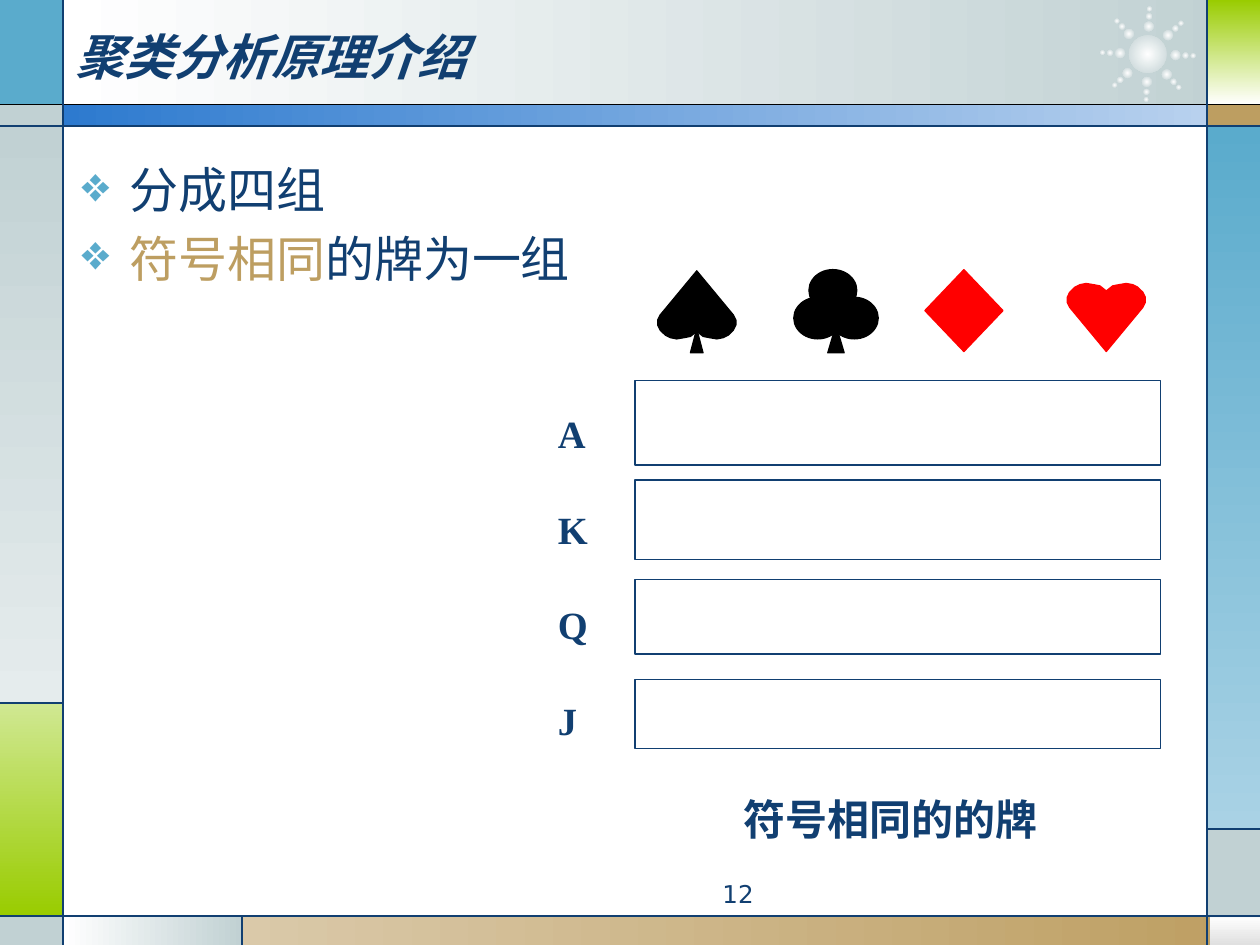
import math
import pptx
import pptx.util
import pptx.oxml
import pptx.oxml.ns
import pptx.dml.color
import pptx.enum.shapes
import pptx.enum.text
from lxml import etree

Inches, Pt = pptx.util.Inches, pptx.util.Pt
RGBColor = pptx.dml.color.RGBColor
KIND = pptx.enum.shapes.MSO_SHAPE
ALIGN = pptx.enum.text.PP_ALIGN
ANCHOR = pptx.enum.text.MSO_ANCHOR

NAVY = RGBColor(0x11, 0x3F, 0x71)
BLACK = RGBColor(0, 0, 0)
WHITE = RGBColor(255, 255, 255)
RED = RGBColor(255, 0, 0)
SKY = RGBColor(0x5A, 0xAB, 0xCC)
PALE_SKY = RGBColor(0xA9, 0xD2, 0xE5)
GRAY = RGBColor(0xC1, 0xD1, 0xD3)
PALE_GRAY = RGBColor(0xE5, 0xEC, 0xED)
LIME = RGBColor(0x99, 0xCC, 0x00)
PALE_LIME = RGBColor(0xD0, 0xE8, 0x92)
TAN = RGBColor(0xBD, 0x9E, 0x61)
PALE_TAN = RGBColor(0xDA, 0xC9, 0xA9)
BLUE = RGBColor(0x2D, 0x7A, 0xCF)
PALE_BLUE = RGBColor(0xB8, 0xD1, 0xEE)
SILVER = RGBColor(0xE0, 0xE0, 0xE0)
A_NS = pptx.oxml.ns.nsdecls("a")

deck = pptx.Presentation()
deck.slide_width, deck.slide_height = Inches(10), Inches(7.5)
slide = deck.slides.add_slide(deck.slide_layouts[6])
shapes = slide.shapes


def paint(shape, first, last=None, angle=0, line=None):
    """Fill with one colour, or a gradient when last is given."""
    shape.shadow.inherit = False
    if last is None:
        shape.fill.solid()
        shape.fill.fore_color.rgb = first
    else:
        shape.fill.gradient()
        shape.fill.gradient_angle = angle
        for stop, color in zip(shape.fill.gradient_stops, (first, last)):
            stop.color.rgb = color
    if line is None:
        shape.line.fill.background()
    else:
        shape.line.color.rgb = line
        shape.line.width = Pt(0.75)


def write(box, text, size, font, bold=False, align=None):
    """Add a text box and return its frame."""
    frame = shapes.add_textbox(*map(Inches, box)).text_frame
    frame.word_wrap = True
    para = frame.paragraphs[0]
    para.text = text
    para.alignment = align
    para.font.size, para.font.name = Pt(size), font
    para.font.bold = bold
    para.font.color.rgb = NAVY
    return frame


# Frame panels; 270 degrees runs from top to bottom
DOWN = 270
panels = [
    ((0.5, 0, 9.27, 0.84), WHITE, GRAY, 0),
    ((0, 0, 0.5, 0.84), SKY, None, 0),
    ((0, 0.83, 0.5, 0.17), GRAY, None, 0),
    ((0, 1, 0.5, 4.58), GRAY, PALE_GRAY, DOWN),
    ((0, 5.58, 0.5, 1.69), PALE_LIME, LIME, DOWN),
    ((0, 7.27, 0.5, 0.23), GRAY, None, 0),
    ((0.5, 7.27, 1.42, 0.23), WHITE, GRAY, 0),
    ((1.92, 7.27, 8.08, 0.23), PALE_TAN, TAN, 0),
    ((9.6, 7.27, 0.4, 0.23), WHITE, SILVER, DOWN),
    ((9.58, 6.58, 0.42, 0.7), GRAY, None, 0),
    ((9.58, 1, 0.42, 5.58), SKY, PALE_SKY, DOWN),
    ((9.58, 0.83, 0.42, 0.17), TAN, None, 0),
    ((9.58, 0, 0.42, 0.83), LIME, WHITE, DOWN),
    ((0.5, 0.83, 9.08, 0.17), BLUE, PALE_BLUE, 0),
]
for box, first, last, angle in panels:
    panel = shapes.add_shape(KIND.RECTANGLE, *map(Inches, box))
    paint(panel, first, last, angle)

# Star: a core and eight arms of three shrinking dots
dots = [(9.11, 0.43, 0.3)]
for arm in range(8):
    turn = math.radians(45 * arm + 2)
    for reach, size in ((0.22, 0.08), (0.3, 0.05), (0.36, 0.04)):
        dots.append((9.11 + reach * math.cos(turn), 0.43 + reach * math.sin(turn), size))
for x, y, size in dots:
    dot = shapes.add_shape(KIND.OVAL, Inches(x - size / 2), Inches(y - size / 2),
                           Inches(size), Inches(size))
    paint(dot, WHITE, GRAY)
    linear = dot._element.spPr.find(".//" + pptx.oxml.ns.qn("a:lin"))
    linear.getparent().replace(linear, pptx.oxml.parse_xml(
        f'<a:path {A_NS} path="circle">'
        '<a:fillToRect l="50000" t="50000" r="50000" b="50000"/></a:path>'))

rules = [
    (0, 0.83, 10, 0.83, BLACK), (0, 1, 10, 1, NAVY), (0, 7.27, 10, 7.27, NAVY),
    (0.5, 0, 0.5, 7.5, NAVY), (9.58, 0, 9.58, 7.5, NAVY), (0, 5.58, 0.5, 5.58, NAVY),
    (1.92, 7.27, 1.92, 7.5, NAVY), (9.58, 6.58, 10, 6.58, NAVY),
]
for *ends, color in rules:
    rule = shapes.add_connector(pptx.enum.shapes.MSO_CONNECTOR.STRAIGHT, *map(Inches, ends))
    rule.line.color.rgb = color
    rule.line.width = Pt(0.75)
    etree.SubElement(rule._element.spPr, pptx.oxml.ns.qn("a:effectLst"))

# Title and bullets
title = write((0.5, 0.08, 9, 0.72), "聚类分析原理介绍", 28, "DejaVu Sans", True)
title.vertical_anchor = ANCHOR.MIDDLE
title.paragraphs[0].font.italic = True

body = write((0.55, 1.22, 4.42, 4.95), "分成四组", 28, "DejaVu Sans")
para = body.add_paragraph()
para.space_before = Pt(5.6)
for text, color in (("符号相同", TAN), ("的牌为一组", NAVY)):
    run = para.add_run()
    run.text = text
    run.font.color.rgb = color
for para in body.paragraphs:
    props = para._p.get_or_add_pPr()
    props.set("marL", str(Inches(0.38)))
    props.set("indent", str(-Inches(0.38)))
    bullet = pptx.oxml.parse_xml(
        f'<a:pPr {A_NS}><a:buClr><a:srgbClr val="{SKY}"/></a:buClr><a:buChar char="❖"/></a:pPr>')
    spot = len(props.findall(pptx.oxml.ns.qn("a:spcBef")))
    for part in reversed(list(bullet)):
        props.insert(spot, part)
    para.font.size, para.font.name = Pt(28), "DejaVu Sans"

# Card suits: the spade is the heart turned over, on a stem
half = [(0, 0.06), (0.05, 0.02), (0.1, 0.01), (0.16, 0), (0.21, 0.01), (0.25, 0.03),
        (0.29, 0.07), (0.31, 0.11), (0.31, 0.15), (0.29, 0.19), (0, 0.54)]
outline = half + [(-x, y) for x, y in half[-2:0:-1]]
for mid, top, sign, color in ((8.78, 2.25, 1, RED), (5.53, 2.69, -1, BLACK)):
    points = [(Inches(mid + x), Inches(top + sign * y)) for x, y in outline]
    pen = shapes.build_freeform(*points[0])
    pen.add_line_segments(points[1:])
    paint(pen.convert_to_shape(), color, line=color)

parts = [
    (KIND.FLOWCHART_EXTRACT, (5.48, 2.61, 0.1, 0.19), BLACK),
    (KIND.OVAL, (6.42, 2.14, 0.38, 0.33), BLACK),
    (KIND.OVAL, (6.59, 2.36, 0.38, 0.33), BLACK),
    (KIND.OVAL, (6.3, 2.36, 0.38, 0.33), BLACK),
    (KIND.FLOWCHART_EXTRACT, (6.57, 2.58, 0.13, 0.22), BLACK),
    (KIND.FLOWCHART_DECISION, (7.34, 2.14, 0.62, 0.65), RED),
]
for kind, box, color in parts:
    paint(shapes.add_shape(kind, *map(Inches, box)), color, line=color)

# One row per rank
heights = (0.67, 0.63, 0.59, 0.55)
for i, (rank, height) in enumerate(zip("AKQJ", heights)):
    row = shapes.add_shape(KIND.RECTANGLE, Inches(5.04), Inches(3.02 + 0.79 * i),
                           Inches(4.17), Inches(height))
    paint(row, WHITE, line=NAVY)
    label = write((4.33, 2.78 + 0.76 * i, 0.75, 0.54), rank, 22,
                  "Times New Roman", True, ALIGN.JUSTIFY)
    label.paragraphs[0].line_spacing = 2.16

write((4.17, 6.25, 5.79, 0.5), "符号相同的的牌", 24, "Arial", True, ALIGN.CENTER)
write((3.75, 6.93, 2.33, 0.27), "12", 14, "DejaVu Sans", align=ALIGN.RIGHT)

deck.save("out.pptx")
